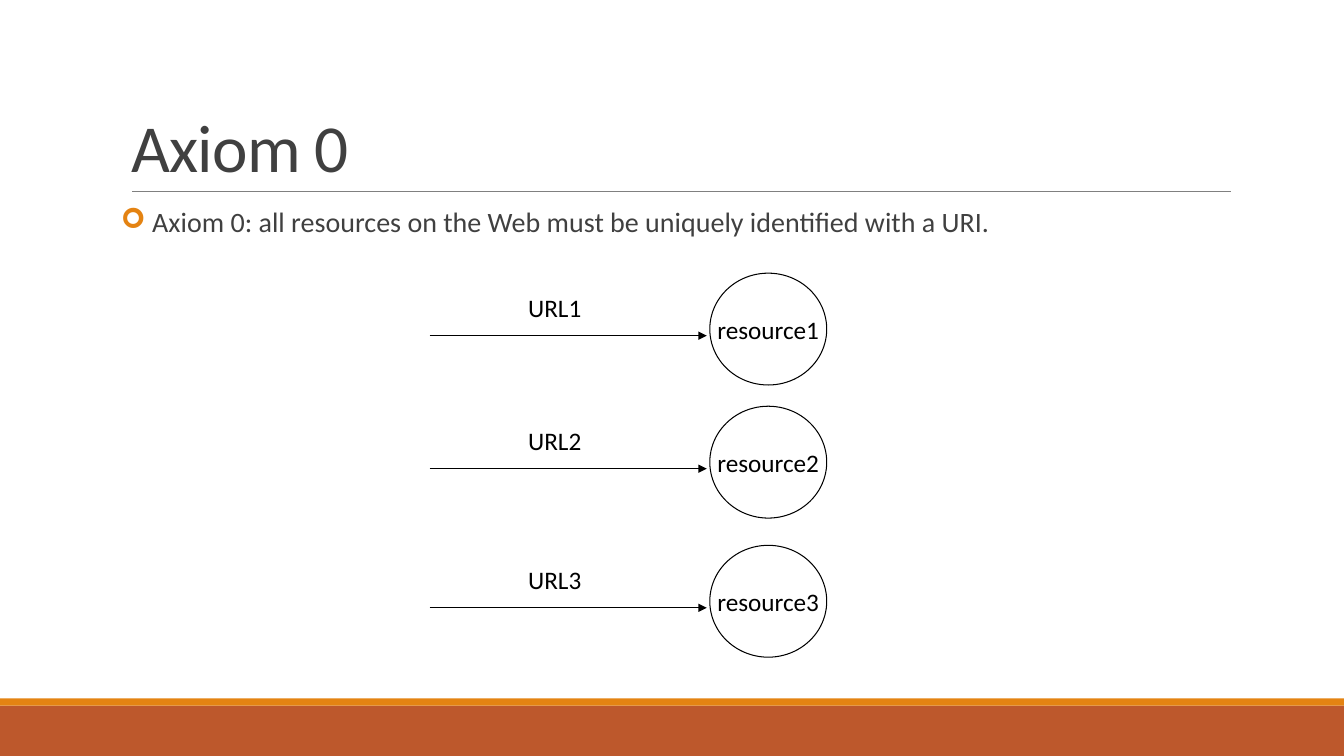
import pptx
import pptx.util
import pptx.dml.color
import pptx.enum.shapes
import pptx.enum.text
import pptx.oxml
import pptx.oxml.ns
from dataclasses import dataclass
from pptx.util import Inches

Shape = pptx.enum.shapes.MSO_SHAPE
Anchor = pptx.enum.text.MSO_ANCHOR
Align = pptx.enum.text.PP_ALIGN


@dataclass
class Theme:
    font: str = "Calibri"
    ink: str = "404040"
    black: str = "000000"
    white: str = "FFFFFF"
    gray: str = "808080"
    rust: str = "BD582C"
    amber: str = "E48312"
    head: int = 48
    body: int = 20
    label: int = 18


theme = Theme()


def rgb(code):
    return pptx.dml.color.RGBColor.from_string(code)


def write(shape, text, size=theme.label, color=theme.black, align=Align.LEFT,
          anchor=Anchor.TOP, wrap=True, side=0.1, leading=1.0):
    """Fill a shape with one formatted paragraph and return the paragraph."""
    frame = shape.text_frame
    frame.word_wrap = wrap
    frame.auto_size = pptx.enum.text.MSO_AUTO_SIZE.NONE
    frame.vertical_anchor = anchor
    frame.margin_left = frame.margin_right = Inches(side)
    para = frame.paragraphs[0]
    para.alignment = align
    para.line_spacing = leading
    run = para.add_run()
    run.text = text
    run.font.name = theme.font
    run.font.size = pptx.util.Pt(size)
    run.font.color.rgb = rgb(color)
    return para


deck = pptx.Presentation()
deck.slide_width = Inches(13.33)
deck.slide_height = Inches(7.5)
slide = deck.slides.add_slide(deck.slide_layouts[5])
shapes = slide.shapes

# Footer bands
for top, height, color in [(7, 0.5, theme.rust), (6.93, 0.07, theme.amber)]:
    band = shapes.add_shape(Shape.RECTANGLE, 0, Inches(top),
                            deck.slide_width, Inches(height))
    band.shadow.inherit = False
    band.fill.solid()
    band.fill.fore_color.rgb = rgb(color)
    band.line.fill.background()

# Title
title = shapes.title
title.left, title.top = Inches(1.2), Inches(0.31)
title.width, title.height = Inches(11), Inches(1.59)
para = write(title, "Axiom 0", size=theme.head, color=theme.ink,
             anchor=Anchor.BOTTOM, leading=0.85)
para.runs[0].font._element.set("spc", "-50")

# Statement with an arrow bullet
box = shapes.add_textbox(Inches(1.2), Inches(2.02), Inches(11), Inches(0.5))
para = write(box, " Axiom 0: all resources on the Web must be uniquely "
             "identified with a URI.", size=theme.body, color=theme.ink,
             side=0, leading=0.9)
props = para._p.get_or_add_pPr()
props.set("marL", str(Inches(0.1)))
props.set("indent", str(-Inches(0.1)))
space = pptx.oxml.ns.nsdecls("a")
for xml in [f'<a:buClr {space}><a:srgbClr val="{theme.amber}"/></a:buClr>',
            f'<a:buFont {space} typeface="Wingdings"/>',
            f'<a:buChar {space} char="➢"/>']:
    props.append(pptx.oxml.parse_xml(xml))

# Each URL points at its resource
rows = [2.71, 4.03, 5.41]
lines = [(1.31, 12.21, 1.9, theme.gray, 0.5, False)]
for num, top in enumerate(rows, 1):
    node = shapes.add_shape(Shape.OVAL, Inches(7.04), Inches(top),
                            Inches(1.16), Inches(1.11))
    node.shadow.inherit = False
    node.fill.solid()
    node.fill.fore_color.rgb = rgb(theme.white)
    node.line.color.rgb = rgb(theme.black)
    node.line.width = pptx.util.Pt(0.75)
    write(node, f"resource{num}", align=Align.CENTER, anchor=Anchor.MIDDLE,
          wrap=False)
    label = shapes.add_textbox(Inches(5.14), Inches(top + 0.14),
                               Inches(1.03), Inches(0.5))
    write(label, f"URL{num}")
    lines.append((4.26, 7.01, top + 0.62, theme.black, 0.75, True))

# Title rule and arrows
for start, end, y, color, width, arrow in lines:
    line = shapes.add_connector(pptx.enum.shapes.MSO_CONNECTOR.STRAIGHT,
                                Inches(start), Inches(y), Inches(end), Inches(y))
    line.line.color.rgb = rgb(color)
    line.line.width = pptx.util.Pt(width)
    if arrow:
        line.line._get_or_add_ln().append(pptx.oxml.parse_xml(
            f'<a:tailEnd {space} type="triangle"/>'))
    line._element.spPr.append(pptx.oxml.parse_xml(f"<a:effectLst {space}/>"))

deck.save("out.pptx")
